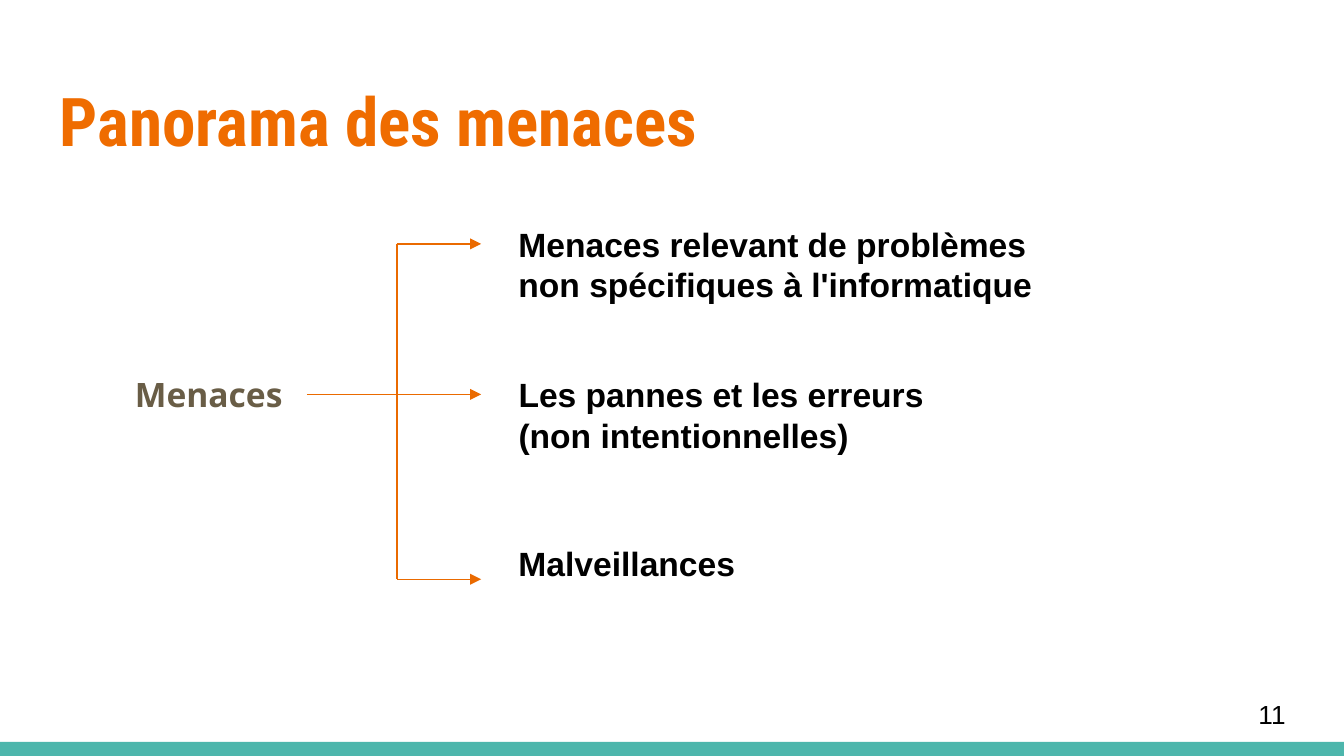
import pptx
import pptx.dml.color
import pptx.enum.shapes
import pptx.enum.text
import pptx.oxml
import pptx.oxml.ns
import pptx.util

RGBColor = pptx.dml.color.RGBColor
Anchor = pptx.enum.text.MSO_ANCHOR

TEAL = RGBColor(0x4D, 0xB6, 0xAC)
TITLE_ORANGE = RGBColor(0xEF, 0x6C, 0x00)
LINE_ORANGE = RGBColor(0xEA, 0x6A, 0x00)
BROWN = RGBColor(0x69, 0x5D, 0x46)
BLACK = RGBColor(0x00, 0x00, 0x00)

COLUMNS, ROWS = 100, 56.25
TRUNK, ARROW_END, TEXT_LEFT = 29.53, 35.8, 37.6
THREATS = [
    (18.15, 16.15, 41.3, ["Menaces relevant de problèmes", "non spécifiques à l'informatique"]),
    (29.35, 27.35, 32.5, ["Les pannes et les erreurs", "(non intentionnelles)"]),
    (43.1, 39.9, 19, ["Malveillances"]),
]


class ThreatSlide:
    """Draws the elements of one slide on a grid of tenth-inch columns and rows."""

    def __init__(self, presentation):
        presentation.slide_width = self.cells(COLUMNS)
        presentation.slide_height = self.cells(ROWS)
        self.slide = presentation.slides.add_slide(presentation.slide_layouts[6])

    def cells(self, count):
        return pptx.util.Inches(count / 10)

    def band(self, left, top, width, height, color):
        shape = self.slide.shapes.add_shape(
            pptx.enum.shapes.MSO_SHAPE.RECTANGLE, *map(self.cells, (left, top, width, height)))
        shape.shadow.inherit = False
        shape.fill.solid()
        shape.fill.fore_color.rgb = color
        shape.line.fill.background()

    def text(self, left, top, width, height, lines, size=18, font="Arial",
             color=BLACK, bold=True, wrap=False, inset=0.5, anchor=Anchor.TOP):
        box = self.slide.shapes.add_textbox(*map(self.cells, (left, top, width, height)))
        frame = box.text_frame
        frame.word_wrap = wrap
        frame.vertical_anchor = anchor
        frame.margin_left = frame.margin_right = self.cells(1)
        frame.margin_top = frame.margin_bottom = self.cells(inset)
        for index, line in enumerate(lines):
            paragraph = frame.add_paragraph() if index else frame.paragraphs[0]
            run = paragraph.add_run()
            run.text = line
            run.font.name = font
            run.font.size = pptx.util.Pt(size)
            run.font.bold = bold
            run.font.color.rgb = color

    def line(self, start, end, arrow=False):
        connector = self.slide.shapes.add_connector(
            pptx.enum.shapes.MSO_CONNECTOR.STRAIGHT, *map(self.cells, (*start, *end)))
        connector.line.color.rgb = LINE_ORANGE
        connector.line.width = pptx.util.Pt(0.75)
        namespace = pptx.oxml.ns.nsdecls("a")
        properties = connector._element.spPr
        if arrow:
            outline = properties.find(pptx.oxml.ns.qn("a:ln"))
            outline.append(pptx.oxml.parse_xml(f'<a:tailEnd {namespace} type="triangle"/>'))
        properties.append(pptx.oxml.parse_xml(f"<a:effectLst {namespace}/>"))


def main():
    presentation = pptx.Presentation()
    page = ThreatSlide(presentation)
    page.band(0, 55.2, COLUMNS, ROWS - 55.2, TEAL)
    page.text(3.45, 4.9, 93.2, 7.7, ["Panorama des menaces"], size=36,
              font="Roboto Condensed", color=TITLE_ORANGE, wrap=True, inset=1)
    page.text(92.65, 51, 6, 4.3, ["11"], size=14, bold=False, wrap=True, inset=1,
              anchor=Anchor.MIDDLE)
    page.text(9.05, 27.35, 13.8, 4, ["Menaces"], font="Open Sans", color=BROWN)

    levels = [threat[0] for threat in THREATS]
    page.line((22.84, levels[1]), (TRUNK, levels[1]))
    page.line((TRUNK, levels[0]), (TRUNK, levels[-1]))
    for level, top, width, lines in THREATS:
        page.text(TEXT_LEFT, top, width, 0.9 + 3.1 * len(lines), lines)
        page.line((TRUNK, level), (ARROW_END, level), arrow=True)
    presentation.save("out.pptx")


if __name__ == "__main__":
    main()
